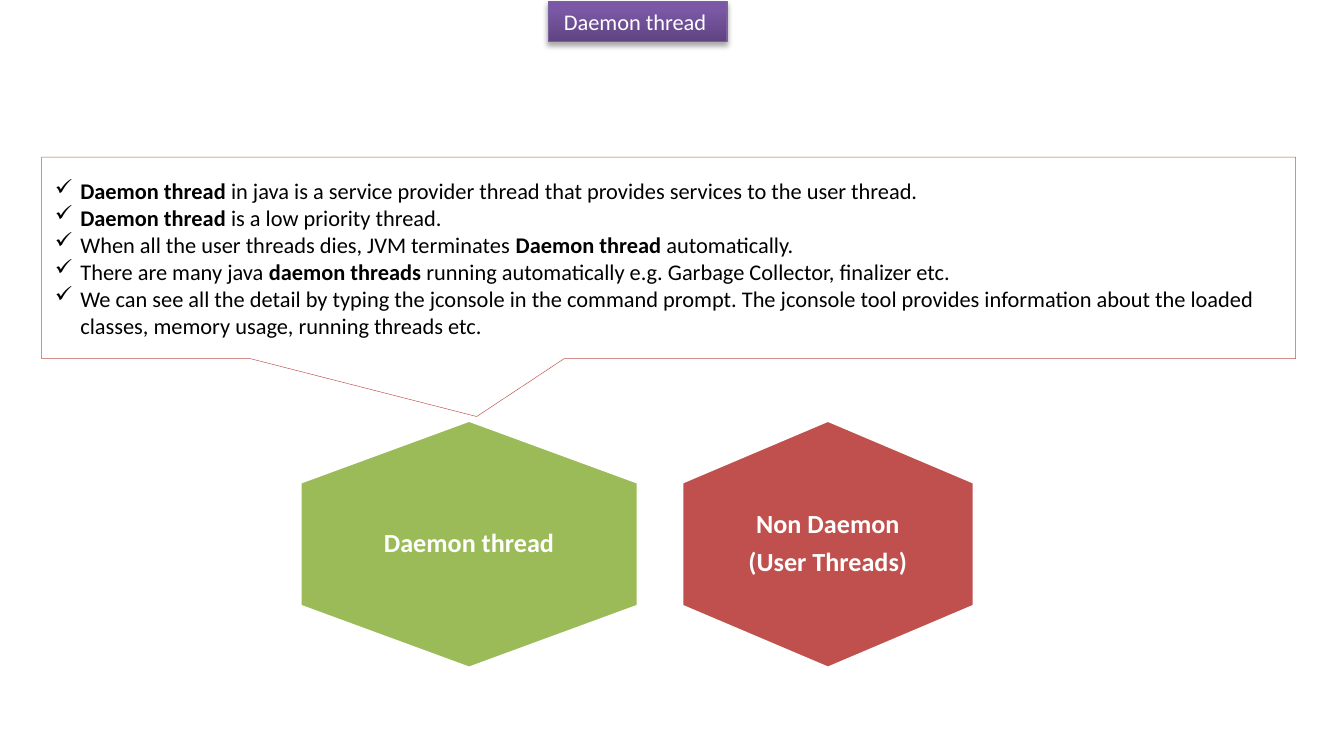
from copy import deepcopy
from dataclasses import dataclass

from pptx import Presentation
from pptx.dml.color import RGBColor
from pptx.enum.shapes import MSO_SHAPE
from pptx.enum.text import MSO_ANCHOR, MSO_AUTO_SIZE, PP_ALIGN
from pptx.oxml import parse_xml
from pptx.oxml.ns import nsdecls, qn
from pptx.util import Inches, Pt

HEXAGON = MSO_SHAPE.HEXAGON
CALLOUT = MSO_SHAPE.RECTANGULAR_CALLOUT
MIDDLE = MSO_ANCHOR.MIDDLE
NO_AUTOFIT = MSO_AUTO_SIZE.NONE
LEFT, CENTER = PP_ALIGN.LEFT, PP_ALIGN.CENTER
TITLE_ONLY = 5


@dataclass(frozen=True)
class Theme:
    font: str = "Calibri"
    body_size: int = 12
    label_size: int = 14
    white: str = "FFFFFF"
    black: str = "000000"
    red: str = "C0504D"
    green: str = "9BBB59"
    purple: str = "7D60A0"
    title_stops: tuple = ((0, "5F4480"), (0.8, "7B58A6"), (1, "7C57A8"))


def add_text(para, text, *, theme, size, color, bold=False):
    span = para.add_run()
    span.text = text
    span.font.name = theme.font
    span.font.size = Pt(size)
    span.font.bold = bold
    span.font.color.rgb = RGBColor.from_string(color)


def add_check_bullet(para):
    properties = para._p.get_or_add_pPr()
    indent = Inches(0.19)
    properties.set("marL", str(indent))
    properties.set("indent", str(-indent))
    properties.append(parse_xml(f'<a:buChar {nsdecls("a")} char="✓"/>'))


class SlideBuilder:
    def __init__(self, page, theme):
        self.page = page
        self.theme = theme

    def outline(self, shape, color, width):
        shape.line.color.rgb = RGBColor.from_string(color)
        shape.line.width = Pt(width)

    def title(self, text, left, top, width, height):
        theme = self.theme
        box = self.page.shapes.title
        box.left, box.top = Inches(left), Inches(top)
        box.width, box.height = Inches(width), Inches(height)
        box.fill.gradient()
        box.fill.gradient_angle = 90
        stop_list = box._element.spPr.find(".//" + qn("a:gsLst"))
        stop_list.insert(1, deepcopy(stop_list[0]))
        for stop, (position, color) in zip(box.fill.gradient_stops, theme.title_stops):
            stop.position = position
            stop.color.rgb = RGBColor.from_string(color)
        self.outline(box, theme.purple, 0.75)
        box._element.spPr.append(parse_xml(
            f'<a:effectLst {nsdecls("a")}>'
            f'<a:outerShdw blurRad="{Pt(3.1)}" dist="{Pt(1.8)}" dir="5400000" rotWithShape="0">'
            f'<a:srgbClr val="{theme.black}"><a:alpha val="35000"/></a:srgbClr>'
            '</a:outerShdw></a:effectLst>'))
        frame = box.text_frame
        frame.word_wrap = False
        frame.auto_size = NO_AUTOFIT
        frame.vertical_anchor = MIDDLE
        para = frame.paragraphs[0]
        para.alignment = CENTER
        add_text(para, text, theme=theme, size=theme.body_size, color=theme.white)

    def hexagon(self, lines, color, center_x, center_y, width, height, label_width):
        """Group an upright hexagon, made by a quarter turn, with its label."""
        theme = self.theme
        shapes = self.page.shapes.add_group_shape().shapes
        shape = shapes.add_shape(
            HEXAGON, Inches(center_x - height / 2), Inches(center_y - width / 2),
            Inches(height), Inches(width))
        shape.rotation = 90
        shape.shadow.inherit = False
        shape.fill.solid()
        shape.fill.fore_color.rgb = RGBColor.from_string(color)
        self.outline(shape, theme.white, 2)

        label_height = 1.23
        label = shapes.add_textbox(
            Inches(center_x - label_width / 2), Inches(center_y - label_height / 2),
            Inches(label_width), Inches(label_height))
        frame = label.text_frame
        frame.word_wrap = True
        frame.vertical_anchor = MIDDLE
        frame.margin_left = frame.margin_right = Inches(0.06)
        frame.margin_top = frame.margin_bottom = Inches(0.06)
        for index, line in enumerate(lines):
            para = frame.add_paragraph() if index else frame.paragraphs[0]
            para.alignment = CENTER
            para.line_spacing = 0.9
            if index:
                para.space_before = Pt(5)
            add_text(para, line, theme=theme, size=theme.label_size,
                     color=theme.white, bold=True)

    def callout(self, items, left, top, width, height, tip):
        """Draw a checklist callout; each item is a list of (text, bold) pairs."""
        theme = self.theme
        box = self.page.shapes.add_shape(
            CALLOUT, Inches(left), Inches(top), Inches(width), Inches(height))
        box.adjustments[0], box.adjustments[1] = tip
        box.shadow.inherit = False
        box.fill.solid()
        box.fill.fore_color.rgb = RGBColor.from_string(theme.white)
        self.outline(box, theme.red, 0.25)
        frame = box.text_frame
        frame.word_wrap = True
        frame.vertical_anchor = MIDDLE
        for index, item in enumerate(items):
            para = frame.add_paragraph() if index else frame.paragraphs[0]
            para.alignment = LEFT
            add_check_bullet(para)
            for text, bold in item:
                add_text(para, text, theme=theme, size=theme.body_size,
                         color=theme.black, bold=bold)


def main():
    deck = Presentation()
    deck.slide_width, deck.slide_height = Inches(10), Inches(5.5)
    theme = Theme()
    page = deck.slides.add_slide(deck.slide_layouts[TITLE_ONLY])
    builder = SlideBuilder(page, theme)

    builder.title("Daemon thread ", 4.08, 0.01, 1.33, 0.3)
    builder.hexagon(["Non Daemon", "(User Threads)"], theme.red,
                    6.16, 4.05, 2.18, 1.85, label_width=1.45)
    builder.hexagon(["Daemon thread"], theme.green,
                    3.49, 4.05, 2.52, 1.85, label_width=1.68)
    builder.callout([
        [("Daemon thread", True),
         (" in java is a service provider thread that provides services to the user thread.",
          False)],
        [("Daemon thread ", True), ("is a low priority thread.", False)],
        [("When all the user threads dies, JVM terminates ", False),
         ("Daemon thread ", True), ("automatically.", False)],
        [("There are many java ", False), ("daemon threads ", True),
         ("running automatically e.g. Garbage Collector, finalizer etc.", False)],
        [("We can see all the detail by typing the jconsole in the command prompt. "
          "The jconsole tool provides information about the loaded classes, "
          "memory usage, running threads etc.", False)],
    ], 0.31, 1.17, 9.33, 1.5, tip=(-0.153, 0.787))

    deck.save("out.pptx")


if __name__ == "__main__":
    main()
